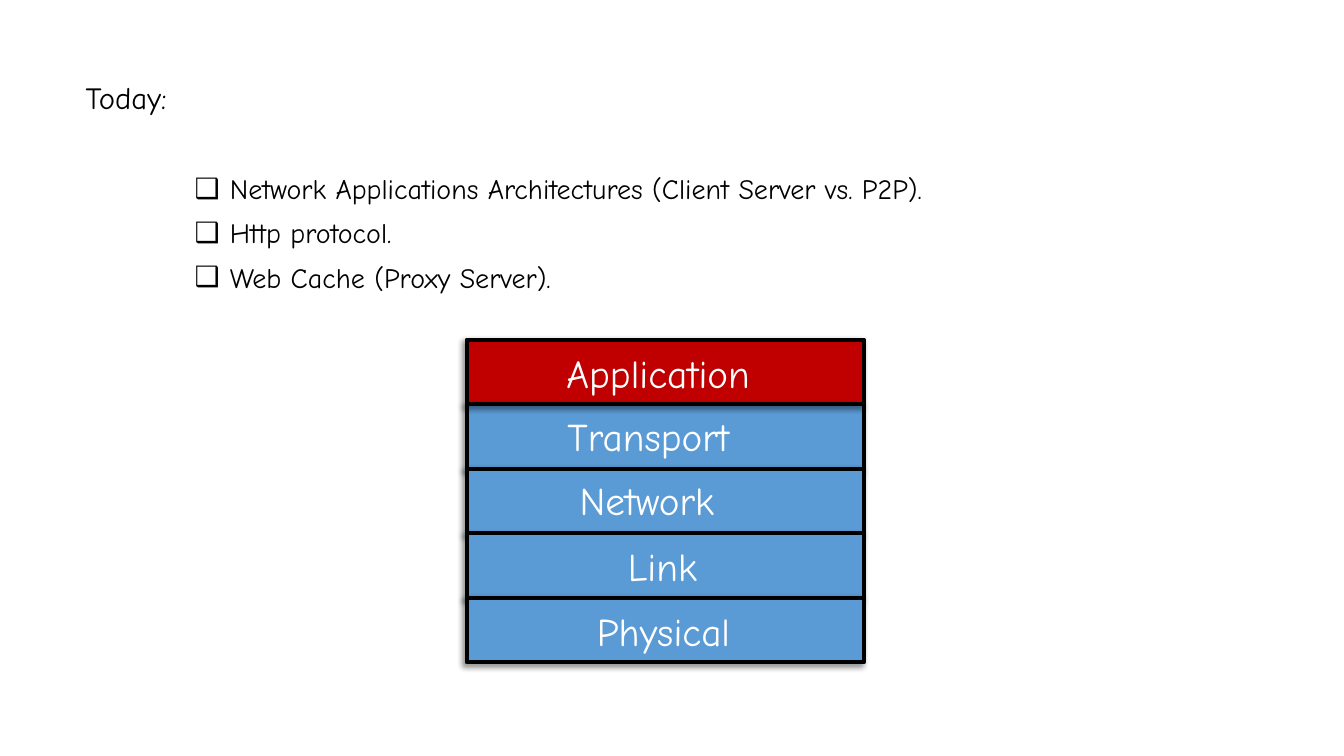
"""Build the lecture agenda slide with the network layer stack."""
from lxml.etree import SubElement
from pptx import Presentation
from pptx.dml.color import RGBColor
from pptx.enum.shapes import MSO_SHAPE
from pptx.enum.text import MSO_ANCHOR, MSO_AUTO_SIZE, PP_ALIGN
from pptx.oxml.ns import qn
from pptx.util import Inches, Pt


def color(value):
    return RGBColor.from_string(value)


def write(paragraph, text, size, ink, **formats):
    run = paragraph.add_run()
    run.text = text
    run.font.color.rgb = color(ink)
    for name, value in {"name": "Comic Neue", "size": Pt(size)}.items():
        setattr(run.font, name, value)
    for name, value in formats.items():
        setattr(paragraph, name, value)


presentation = Presentation()
presentation.slide_width = Inches(13.33)
presentation.slide_height = Inches(7.5)
slide = presentation.slides.add_slide(presentation.slide_layouts[1])
heading, agenda = slide.placeholders

for part, (left, top, width, height) in (
    (heading, (0.75, 0.77, 11.5, 0.51)),
    (agenda, (1.83, 1.69, 11.12, 1.64)),
):
    place = {"left": left, "top": top, "width": width, "height": height}
    for name, value in place.items():
        setattr(part, name, Inches(value))
    frame_format = {
        "word_wrap": True,
        "auto_size": MSO_AUTO_SIZE.NONE,
        "vertical_anchor": MSO_ANCHOR.TOP,
    }
    for name, value in frame_format.items():
        setattr(part.text_frame, name, value)

write(heading.text_frame.paragraphs[0], "Today:", 22, "000000",
      alignment=PP_ALIGN.LEFT, line_spacing=0.9, space_before=Pt(0))

topics = [
    "Network Applications Architectures (Client Server vs. P2P).",
    "Http protocol.",
    "Web Cache (Proxy Server).",
]
for number, topic in enumerate(topics):
    frame = agenda.text_frame
    entry = frame.add_paragraph() if number else frame.paragraphs[0]
    properties = entry._p.get_or_add_pPr()
    properties.set("marL", str(Inches(0.35)))
    properties.set("indent", str(-Inches(0.35)))
    SubElement(properties, qn("a:buChar"), char="❑")
    write(entry, topic, 20, "000000", alignment=PP_ALIGN.LEFT,
          line_spacing=0.9, space_before=Pt(10 if number else 0))

layers = [
    (1, "Transport", "5B9BD5", 5.53, 4.04, PP_ALIGN.LEFT),
    (0, "Application", "C00000", 5.52, 3.42, PP_ALIGN.LEFT),
    (2, "Network", "5B9BD5", 5.65, 4.68, PP_ALIGN.LEFT),
    (3, "Link", "5B9BD5", 5.36, 5.33, PP_ALIGN.CENTER),
    (4, "Physical", "5B9BD5", 5.37, 5.98, PP_ALIGN.CENTER),
]
layer_height = 0.64
for level, _, fill, *_ in layers:
    layer = slide.shapes.add_shape(
        MSO_SHAPE.RECTANGLE, Inches(4.63), Inches(3.37 + level * layer_height),
        Inches(3.94), Inches(layer_height))
    layer.fill.solid()
    layer.fill.fore_color.rgb = color(fill)
    layer.line.color.rgb = color("000000")
    layer.line.width = Pt(3)
    layer.shadow.inherit = False
    effects = layer._element.spPr.find(qn("a:effectLst"))
    shadow = SubElement(effects, qn("a:outerShdw"), blurRad=str(Pt(4)),
                        dist=str(Pt(3)), dir="8100000", algn="tr", rotWithShape="0")
    shade = SubElement(shadow, qn("a:srgbClr"), val="000000")
    SubElement(shade, qn("a:alpha"), val="40000")

for _, layer_name, _, left, top, alignment in layers:
    label = slide.shapes.add_textbox(
        Inches(left), Inches(top), Inches(2.42), Inches(0.57))
    label.text_frame.word_wrap = True
    label.text_frame.auto_size = MSO_AUTO_SIZE.SHAPE_TO_FIT_TEXT
    write(label.text_frame.paragraphs[0], layer_name, 28, "FFFFFF", alignment=alignment)

presentation.save("out.pptx")
